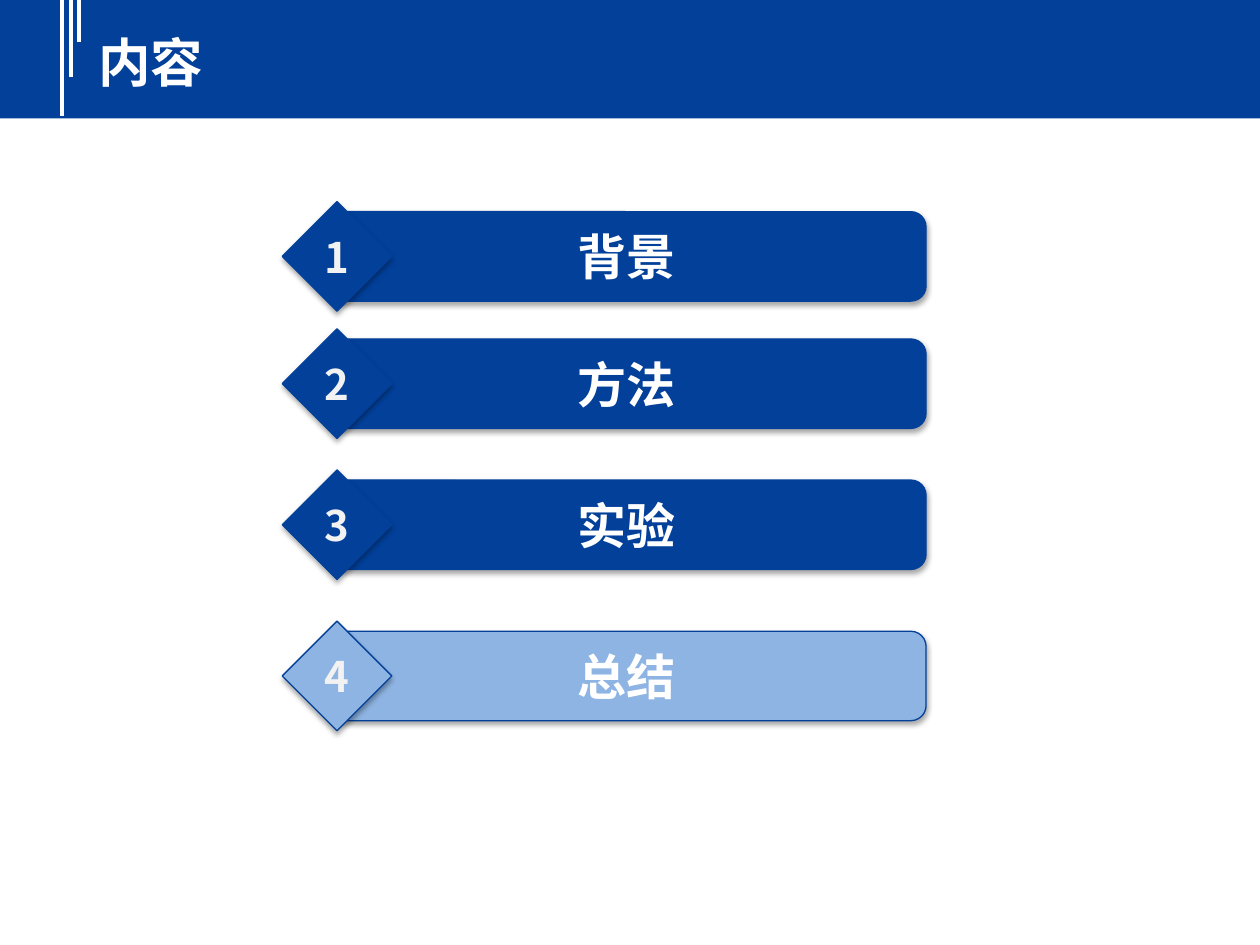
import dataclasses

import lxml.etree
import pptx
import pptx.dml.color
import pptx.enum.shapes
import pptx.enum.text
import pptx.oxml.ns
import pptx.util

KIND = pptx.enum.shapes.MSO_SHAPE
ALIGN = pptx.enum.text.PP_ALIGN
ANCHOR = pptx.enum.text.MSO_ANCHOR
qn = pptx.oxml.ns.qn


@dataclasses.dataclass(frozen=True)
class Theme:
    navy: str = "02409A"
    sky: str = "8EB4E3"
    white: str = "FFFFFF"
    pale: str = "F2F2F2"
    black: str = "000000"
    sans: str = "Noto Sans CJK SC"
    serif: str = "Times New Roman"
    title: int = 30
    label: int = 28
    number: int = 24
    rule: float = 2.25
    edge: float = 0.75


def rgb(code):
    return pptx.dml.color.RGBColor.from_string(code)


def write(frame, text, *, size, color, face, east, align=ALIGN.LEFT,
          anchor=ANCHOR.TOP, wrap=False):
    frame.word_wrap = wrap
    frame.vertical_anchor = anchor
    para = frame.paragraphs[0]
    para.alignment = align
    run = para.add_run()
    run.text = text
    run.font.size = pptx.util.Pt(size)
    run.font.bold = True
    run.font.name = face
    run.font.color.rgb = rgb(color)
    props = run._r.get_or_add_rPr()
    lxml.etree.SubElement(props, qn("a:ea"), typeface=east)


class Deck:
    """Draws styled elements on a slide with a grid of 100 columns and 75 rows."""

    def __init__(self, theme):
        self.theme = theme
        self.file = pptx.Presentation()
        self.file.slide_width = pptx.util.Inches(10)
        self.file.slide_height = pptx.util.Inches(7.5)
        self.slide = self.file.slides.add_slide(self.file.slide_layouts[6])
        self.shapes = self.slide.shapes

    def grid(self, *cells):
        unit = self.file.slide_width / 100
        return [round(cell * unit) for cell in cells]

    def block(self, kind, area, fill, edge=None):
        shape = self.shapes.add_shape(kind, *self.grid(*area))
        shape.shadow.inherit = False
        shape.fill.solid()
        shape.fill.fore_color.rgb = rgb(fill)
        if edge:
            shape.line.color.rgb = rgb(edge)
            shape.line.width = pptx.util.Pt(self.theme.edge)
        else:
            shape.line.fill.background()
        return shape

    def shade(self, shape):
        effects = shape._element.spPr.find(qn("a:effectLst"))
        outer = lxml.etree.SubElement(
            effects, qn("a:outerShdw"), blurRad="40000", dist="23000",
            dir="5400000", rotWithShape="0")
        tint = lxml.etree.SubElement(outer, qn("a:srgbClr"), val=self.theme.black)
        lxml.etree.SubElement(tint, qn("a:alpha"), val="35000")

    def rule(self, col, depth):
        line = self.shapes.add_connector(
            pptx.enum.shapes.MSO_CONNECTOR.STRAIGHT, *self.grid(col, 0, col, depth))
        line.line.color.rgb = rgb(self.theme.white)
        line.line.width = pptx.util.Pt(self.theme.rule)
        lxml.etree.SubElement(line._element.spPr, qn("a:effectLst"))

    def header(self, text):
        theme = self.theme
        self.block(KIND.RECTANGLE, (0, 0, 100, 9.4), theme.navy)
        for step, depth in enumerate((9.2, 6.1, 3.3)):
            self.rule(4.9 + 0.7 * step, depth)
        box = self.shapes.add_textbox(*self.grid(6.8, 1.9, 91.2, 6.1))
        write(box.text_frame, text, size=theme.title, color=theme.white,
              face=theme.sans, east=theme.sans, wrap=True)
        box.text_frame.auto_size = pptx.enum.text.MSO_AUTO_SIZE.SHAPE_TO_FIT_TEXT

    def entry(self, number, text, row, fill):
        theme = self.theme
        bar = self.block(KIND.ROUNDED_RECTANGLE, (26, row, 47.5, 7.1), fill, theme.navy)
        bar.adjustments[0] = 0.17
        gem = self.block(KIND.DIAMOND, (22.4, row - 0.8, 8.7, 8.7), fill, theme.navy)
        for shape, words, size, color, face in (
                (bar, text, theme.label, theme.white, theme.serif),
                (gem, str(number), theme.number, theme.pale, theme.sans)):
            self.shade(shape)
            write(shape.text_frame, words, size=size, color=color, face=face,
                  east=theme.sans, align=ALIGN.CENTER, anchor=ANCHOR.MIDDLE)


def main():
    theme = Theme()
    deck = Deck(theme)
    deck.header("内容")
    items = (
        ("背景", 16.8, theme.navy),
        ("方法", 26.9, theme.navy),
        ("实验", 38.1, theme.navy),
        ("总结", 50.1, theme.sky),
    )
    for number, item in enumerate(items, 1):
        deck.entry(number, *item)
    deck.file.save("out.pptx")


if __name__ == "__main__":
    main()
